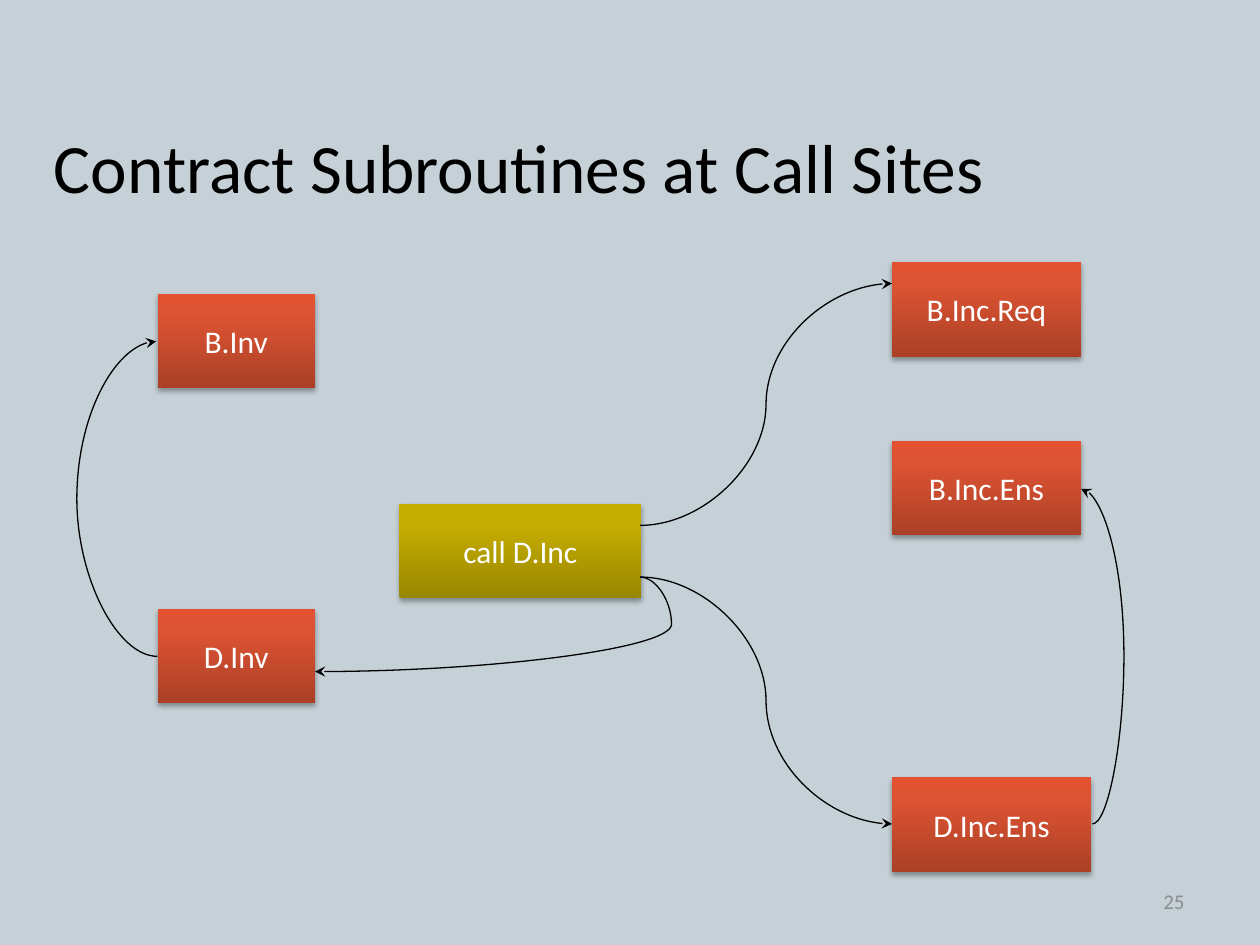
"""Build a slide of contract subroutines linked to their call site."""
from copy import deepcopy
from dataclasses import dataclass

from lxml import etree
from pptx import Presentation
from pptx.dml.color import RGBColor
from pptx.enum.shapes import MSO_CONNECTOR, MSO_SHAPE
from pptx.enum.text import MSO_ANCHOR, PP_ALIGN
from pptx.oxml import parse_xml
from pptx.oxml.ns import nsdecls, qn
from pptx.slide import Slide
from pptx.text.text import TextFrame
from pptx.util import Inches, Pt

RECT = MSO_SHAPE.RECTANGLE
CURVE = MSO_CONNECTOR.CURVE
MIDDLE = MSO_ANCHOR.MIDDLE
LEFT, CENTER, RIGHT = PP_ALIGN.LEFT, PP_ALIGN.CENTER, PP_ALIGN.RIGHT

BLACK = RGBColor(0x00, 0x00, 0x00)
WHITE = RGBColor(0xFF, 0xFF, 0xFF)
GRAY = RGBColor(0x8C, 0x8C, 0x8C)
MIST = RGBColor(0xC5, 0xD1, 0xD7)
GOLD = (RGBColor(0x98, 0x86, 0x00), RGBColor(0xC6, 0xAE, 0x00), RGBColor(0xC7, 0xAF, 0x00))
RED = (RGBColor(0xAB, 0x40, 0x27), RGBColor(0xDE, 0x54, 0x33), RGBColor(0xE3, 0x52, 0x30))
STOPS = (0, 0.8, 1)
FONT = "Calibri"
TALL = 0.75
SHADOW = (
    f'<a:outerShdw {nsdecls("a")} blurRad="{Pt(3.1)}" dist="{Pt(1.8)}" dir="5400000" '
    'rotWithShape="0"><a:srgbClr val="000000"><a:alpha val="35000"/></a:srgbClr></a:outerShdw>'
)


@dataclass(frozen=True)
class Box:
    """A labelled routine."""
    text: str
    left: float
    top: float
    width: float
    tones: tuple[RGBColor, RGBColor, RGBColor] = RED


@dataclass(frozen=True)
class Link:
    """A curved arrow that bends at a given x."""
    start: tuple[float, float]
    end: tuple[float, float]
    bend: float


BOXES = (
    Box("call D.Inc", 3.17, 4, 1.92, GOLD),
    Box("B.Inv", 1.25, 2.33, 1.25),
    Box("B.Inc.Req", 7.08, 2.08, 1.5),
    Box("B.Inc.Ens", 7.08, 3.5, 1.5),
    Box("D.Inv", 1.25, 4.83, 1.25),
    Box("D.Inc.Ens", 7.08, 6.17, 1.58),
)
LINKS = (
    Link((5.08, 4.58), (7.08, 6.54), 6.08),
    Link((5.08, 4.17), (7.08, 2.25), 6.08),
    Link((5.08, 4.58), (2.5, 5.33), 5.33),
    Link((1.25, 5.21), (1.24, 2.71), 0.6),
    Link((8.67, 6.54), (8.58, 3.88), 8.92),
)


def write(frame: TextFrame, text: str, size: float, color: RGBColor, align: PP_ALIGN) -> None:
    """Fill a frame with one styled paragraph."""
    frame.word_wrap = True
    frame.vertical_anchor = MIDDLE
    para = frame.paragraphs[0]
    para.text = text
    para.alignment = align
    font = para.font
    font.name, font.size, font.color.rgb = FONT, Pt(size), color


def add_box(slide: Slide, box: Box) -> None:
    """Draw a shaded box with a soft shadow."""
    shape = slide.shapes.add_shape(
        RECT, Inches(box.left), Inches(box.top), Inches(box.width), Inches(TALL))
    shape.line.fill.background()
    shape.fill.gradient()
    shape.fill.gradient_angle = 90
    stops = shape._element.spPr.find(f".//{qn('a:gsLst')}")
    stops.append(deepcopy(stops[-1]))
    for stop, spot, tone in zip(shape.fill.gradient_stops, STOPS, box.tones):
        stop.position, stop.color.rgb = spot, tone
    shape.shadow.inherit = False
    shape._element.spPr.find(qn("a:effectLst")).append(parse_xml(SHADOW))
    write(shape.text_frame, box.text, 18, WHITE, CENTER)


def add_link(slide: Slide, link: Link) -> None:
    """Draw a curved arrow."""
    line = slide.shapes.add_connector(CURVE, *map(Inches, link.start + link.end))
    line.line.color.rgb = BLACK
    line.line.width = Pt(0.75)
    props = line._element.spPr
    ratio = (link.bend - link.start[0]) / (link.end[0] - link.start[0])
    guides = props.find(f".//{qn('a:avLst')}")
    etree.SubElement(guides, qn("a:gd"), name="adj1", fmla=f"val {round(ratio * 100000)}")
    etree.SubElement(props.find(qn("a:ln")), qn("a:tailEnd"), type="stealth")
    etree.SubElement(props, qn("a:effectLst"))


def add_text(slide: Slide, area: tuple[float, float, float, float], text: str,
             size: float, color: RGBColor, align: PP_ALIGN) -> None:
    """Place a text box."""
    label = slide.shapes.add_textbox(*map(Inches, area))
    write(label.text_frame, text, size, color, align)


def main() -> None:
    """Build and save the slide."""
    deck = Presentation()
    deck.slide_width, deck.slide_height = Inches(10), Inches(7.5)
    slide = deck.slides.add_slide(deck.slide_layouts[6])
    back = slide.background.fill
    back.solid()
    back.fore_color.rgb = MIST
    add_text(slide, (0.33, 1, 9.33, 0.63), "Contract Subroutines at Call Sites", 39.6, BLACK, LEFT)
    add_text(slide, (7.17, 6.95, 2.33, 0.4), "25", 12, GRAY, RIGHT)
    for box in BOXES:
        add_box(slide, box)
    for link in LINKS:
        add_link(slide, link)
    deck.save("out.pptx")


if __name__ == "__main__":
    main()
